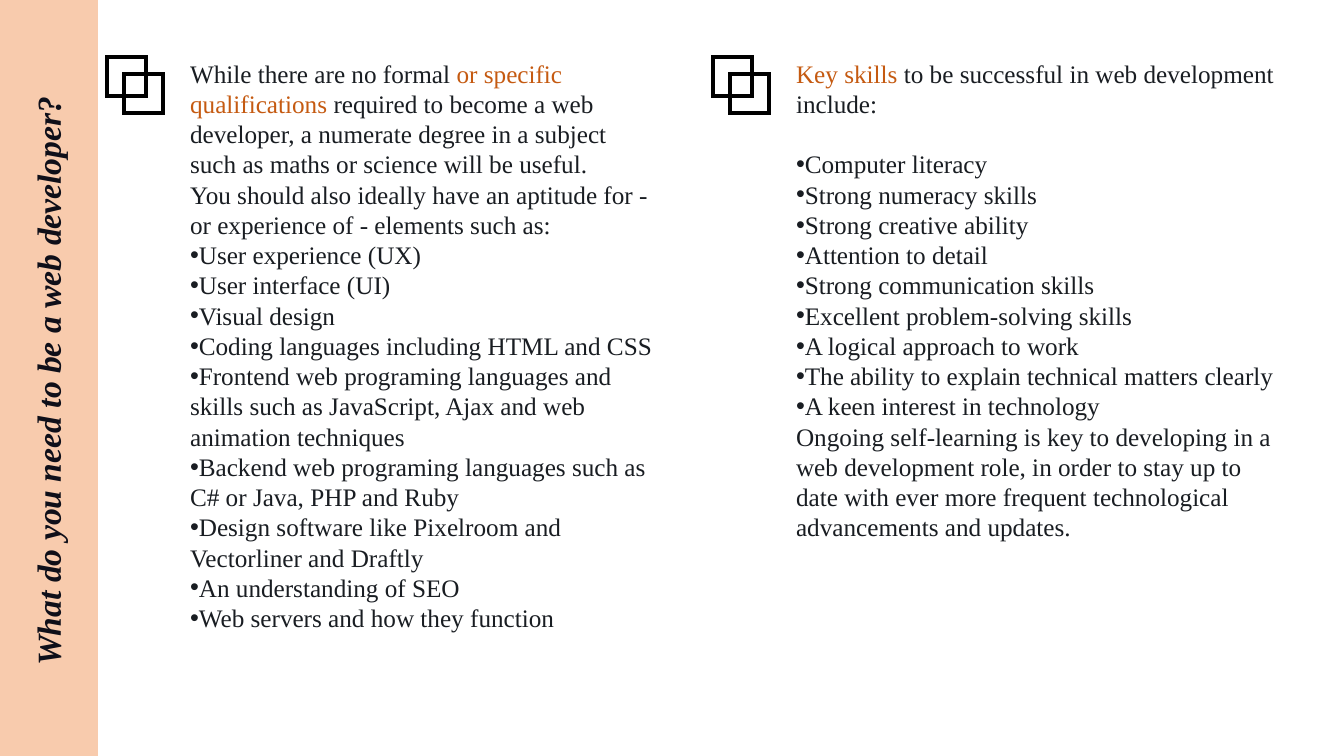
import pptx
import pptx.dml.color
import pptx.enum.shapes
import pptx.enum.text
import pptx.util
from lxml import etree

EMU_PER_PX = 914400 / 100.8
DRAWING = "{http://schemas.openxmlformats.org/drawingml/2006/main}"
DARK, ORANGE = "191D22", "C55A11"
LINE_HEIGHT = pptx.util.Pt(21.6)


def px(length):
    return pptx.util.Emu(round(length * EMU_PER_PX))


def color(hex_string):
    return pptx.dml.color.RGBColor.from_string(hex_string)


presentation = pptx.Presentation()
presentation.slide_width, presentation.slide_height = px(1344), px(756)
slide = presentation.slides.add_slide(presentation.slide_layouts[3])
title, left_body, right_body = slide.placeholders

# Side band with the title turned to read upwards
band = slide.shapes.add_shape(
    pptx.enum.shapes.MSO_SHAPE.RECTANGLE, 0, 0, px(98), px(756))
band.shadow.inherit = False
band.fill.solid()
band.fill.fore_color.rgb = color("F8CBAD")
band.line.fill.background()
title.element.addprevious(band.element)

title.left, title.top, title.width, title.height = px(-278), px(318), px(655), px(61)
title.rotation = 270
title.text_frame.text = "What do you need to be a web developer?"
title.text_frame.auto_size = pptx.enum.text.MSO_AUTO_SIZE.NONE
title.text_frame.vertical_anchor = pptx.enum.text.MSO_ANCHOR.TOP
title_paragraph = title.text_frame.paragraphs[0]
title_paragraph.alignment = pptx.enum.text.PP_ALIGN.LEFT
title_paragraph.line_spacing = 1.08
title_format = {"name": "Times New Roman", "size": pptx.util.Pt(24),
                "bold": True, "italic": True}
for attribute, value in title_format.items():
    setattr(title_paragraph.runs[0].font, attribute, value)
title_paragraph.runs[0].font.color.rgb = color("0F0F19")

# Two overlapping squares beside each column
for icon_left in (107, 713):
    icon = slide.shapes.add_group_shape()
    for offset in (0, 17):
        square = icon.shapes.add_shape(
            pptx.enum.shapes.MSO_SHAPE.RECTANGLE,
            px(icon_left + offset), px(57 + offset), px(39), px(39))
        square.shadow.inherit = False
        square.fill.background()
        square.line.color.rgb = color("000000")
        square.line.width = pptx.util.Pt(3)
        etree.SubElement(square.line._ln, DRAWING + "miter", lim="800000")

# Each paragraph: bullet or not, space before, runs of text and colour
left_paragraphs = [
    (False, 0, [
        ("While there are no formal ", DARK),
        ("or specific qualifications", ORANGE),
        (" required to become a web developer, a numerate degree in a subject "
         "such as maths or science will be useful.", DARK)]),
    (False, 0, [
        ("You should also ideally have an aptitude for - or experience of - "
         "elements such as:", DARK)]),
]
left_bullets = [
    "User experience (UX)",
    "User interface (UI)",
    "Visual design",
    "Coding languages including HTML and CSS",
    "Frontend web programing languages and skills such as JavaScript, Ajax "
    "and web animation techniques",
    "Backend web programing languages such as C# or Java, PHP and Ruby",
    "Design software like Pixelroom and Vectorliner and Draftly",
    "An understanding of SEO",
    "Web servers and how they function",
]
left_paragraphs += [(True, 0, [(text, DARK)]) for text in left_bullets]

right_paragraphs = [
    (False, 0, [
        ("Key skills ", ORANGE),
        ("to be successful in web development include:", DARK)]),
]
right_bullets = [
    "Computer literacy",
    "Strong numeracy skills",
    "Strong creative ability",
    "Attention to detail",
    "Strong communication skills",
    "Excellent problem-solving skills",
    "A logical approach to work",
    "The ability to explain technical matters clearly",
    "A keen interest in technology",
]
right_paragraphs += [
    (True, LINE_HEIGHT if index == 0 else 0, [(text, DARK)])
    for index, text in enumerate(right_bullets)]
right_paragraphs.append((False, 0, [
    ("Ongoing self-learning is key to developing in a web development role, "
     "in order to stay up to date with ever more frequent technological "
     "advancements and updates.", DARK)]))

columns = [
    (left_body, 180, 488, 591, left_paragraphs),
    (right_body, 786, 499, 499, right_paragraphs),
]
for body, left, width, height, paragraphs in columns:
    body.left, body.top, body.width, body.height = px(left), px(53), px(width), px(height)
    frame = body.text_frame
    frame.auto_size = pptx.enum.text.MSO_AUTO_SIZE.NONE
    for index, (bulleted, space_before, runs) in enumerate(paragraphs):
        paragraph = frame.add_paragraph() if index else frame.paragraphs[0]
        paragraph_format = {"line_spacing": LINE_HEIGHT, "space_after": 0,
                            "space_before": space_before}
        for attribute, value in paragraph_format.items():
            setattr(paragraph, attribute, value)
        properties = paragraph._p.get_or_add_pPr()
        properties.set("marL", "0")
        properties.set("indent", "0")
        if bulleted:
            etree.SubElement(properties, DRAWING + "buFont", typeface="Arial")
            etree.SubElement(properties, DRAWING + "buChar", char="•")
        else:
            etree.SubElement(properties, DRAWING + "buNone")
        for text, hex_string in runs:
            run = paragraph.add_run()
            run.text = text
            run.font.name = "Times New Roman"
            run.font.size = pptx.util.Pt(18)
            run.font.color.rgb = color(hex_string)

presentation.save("out.pptx")
